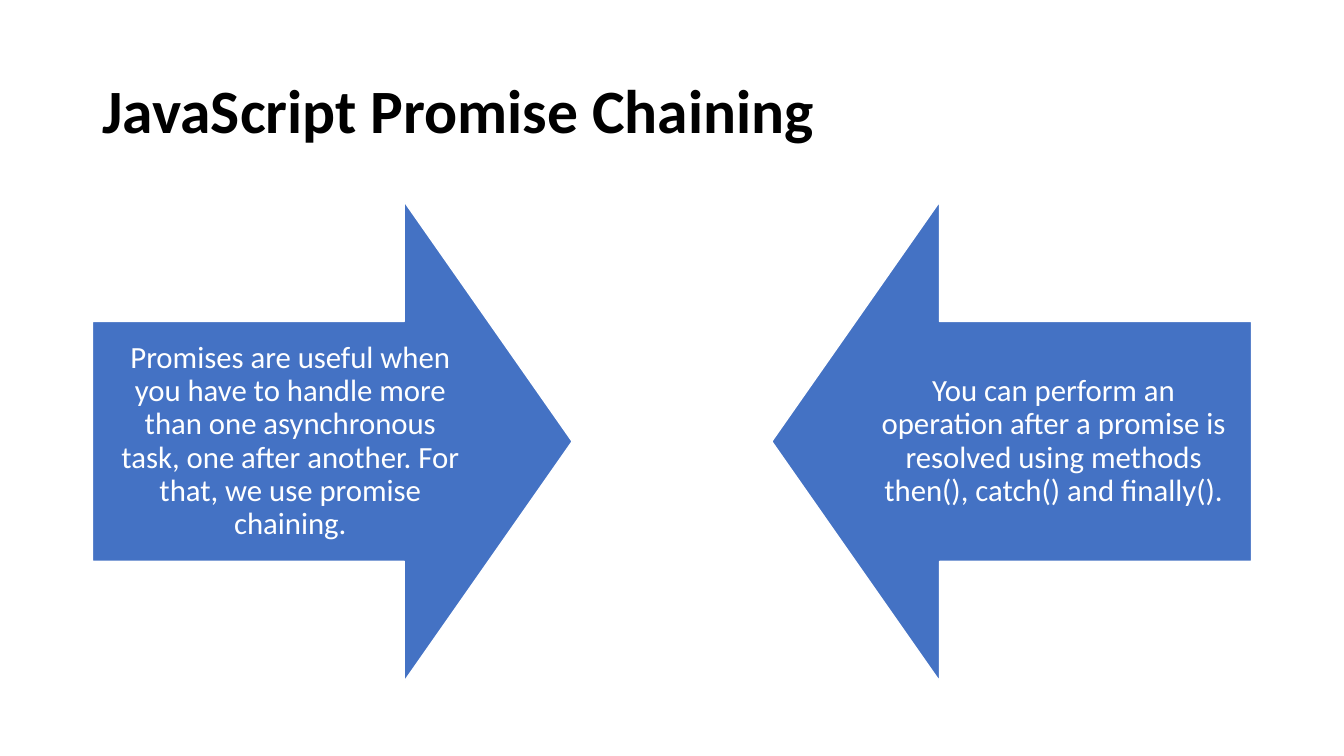
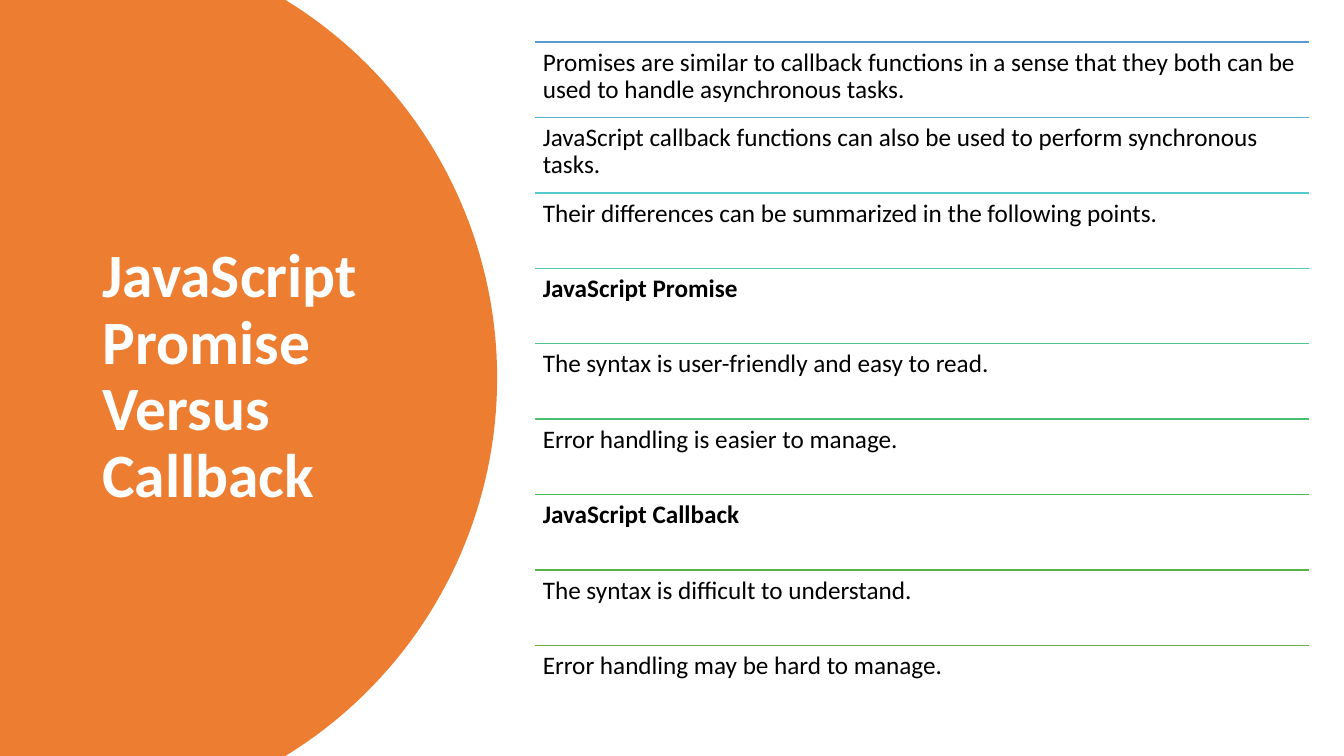
from dataclasses import dataclass
from math import asin, cos, sin

from lxml.etree import SubElement
from pptx import Presentation
from pptx.dml.color import RGBColor as Rgb
from pptx.enum.shapes import MSO_CONNECTOR as Link, MSO_SHAPE as Form
from pptx.enum.text import MSO_ANCHOR as Anchor, MSO_AUTO_SIZE as Fit, PP_ALIGN as Align
from pptx.oxml.ns import qn
from pptx.slide import Slide
from pptx.text.text import TextFrame
from pptx.util import Cm, Pt

FONT = "Calibri"
WIDE, HIGH = 33.87, 19.05
HUES = {"black": "000000", "white": "FFFFFF", "blue": "4472C4", "orange": "ED7D31"}
RULES = ["5B9BD5", "57B4D1", "54CCCD", "51C9AD", "4DC58D",
         "4AC06E", "48BB4F", "59B546", "70AD47"]


@dataclass
class Box:
    """A place on the slide, in centimetres."""
    left: float
    top: float
    width: float
    height: float

    def size(self) -> tuple[Cm, ...]:
        """Give the four lengths that python-pptx expects."""
        return Cm(self.left), Cm(self.top), Cm(self.width), Cm(self.height)


@dataclass
class Style:
    """How a block of text looks."""
    size: int
    hue: str
    bold: bool = False
    align: Align = Align.LEFT
    anchor: Anchor = Anchor.MIDDLE
    inset: tuple[float, float] = (0.25, 0.13)


@dataclass
class Arrow:
    """A block arrow and its text."""
    form: Form
    left: float
    text: str


@dataclass
class Row:
    """One ruled row of the list."""
    text: str
    bold: bool = False


ARROWS = [
    Arrow(Form.RIGHT_ARROW, 2.33,
          "Promises are useful when you have to handle more than one asynchronous "
          "task,\u00a0one after another. For that, we use promise chaining."),
    Arrow(Form.LEFT_ARROW, 19.45,
          "You can perform an operation after a promise is resolved using methods "
          "then(), catch() and finally()."),
]

ROWS = [
    Row("Promises are similar to\u00a0callback functions\u00a0in\u00a0a sense that "
        "they both can be used to handle asynchronous tasks."),
    Row("JavaScript callback functions can also be used to perform synchronous tasks."),
    Row("Their differences can be summarized in the following points."),
    Row("JavaScript Promise", True),
    Row("The syntax is user-friendly and easy to read."),
    Row("Error handling is easier to manage."),
    Row("JavaScript Callback", True),
    Row("The syntax is difficult to understand."),
    Row("Error handling may be hard to manage."),
]


def tint(name: str) -> Rgb:
    """Look up a named colour."""
    return Rgb.from_string(HUES[name])


def write(frame: TextFrame, text: str, style: Style) -> None:
    """Fill a text frame with one styled paragraph."""
    frame.text = text
    frame.word_wrap = True
    frame.auto_size = Fit.NONE
    frame.vertical_anchor = style.anchor
    side, edge = style.inset
    frame.margin_left = frame.margin_right = Cm(side)
    frame.margin_top = frame.margin_bottom = Cm(edge)
    para = frame.paragraphs[0]
    para.alignment = style.align
    para.line_spacing = 0.9
    font = para.font
    font.name, font.size, font.bold = FONT, Pt(style.size), style.bold
    font.color.rgb = tint(style.hue)


def add_title(slide: Slide, text: str, box: Box, hue: str) -> None:
    """Place and style the title."""
    title = slide.shapes.title
    title.left, title.top, title.width, title.height = box.size()
    write(title.text_frame, text, Style(44, hue, bold=True))


def add_arrow(slide: Slide, arrow: Arrow) -> None:
    """Draw a block arrow with its text inside."""
    shape = slide.shapes.add_shape(arrow.form, *Box(arrow.left, 5.08, 12.09, 12.09).size())
    shape.adjustments[0], shape.adjustments[1] = 0.5, 0.35
    shape.shadow.inherit = False
    shape.fill.solid()
    shape.fill.fore_color.rgb = tint("blue")
    shape.line.color.rgb = tint("white")
    shape.line.width = Pt(1)
    write(shape.text_frame, arrow.text,
          Style(22, "white", align=Align.CENTER, inset=(0.43, 0.43)))


def add_disc(slide: Slide, edge: float, radius: float, steps: int = 80) -> None:
    """Draw a disc cut off by the left, top and bottom of the slide."""
    mid = HIGH / 2
    half = asin(mid / radius)
    turns = [half * (2 * i / steps - 1) for i in range(steps + 1)]
    arc = [(Cm(edge - radius + radius * cos(t)), Cm(mid + radius * sin(t))) for t in turns]
    path = slide.shapes.build_freeform(0, 0)
    path.add_line_segments([*arc, (0, Cm(HIGH))], close=True)
    disc = path.convert_to_shape()
    disc.shadow.inherit = False
    disc.fill.solid()
    disc.fill.fore_color.rgb = tint("orange")
    disc.line.fill.background()
    tree = slide.shapes.title.element.getparent()
    tree.insert(tree.index(slide.shapes.title.element), disc.element)


def add_row(slide: Slide, row: Row, box: Box, rule: str) -> None:
    """Draw a rule with its text below."""
    left, top, width, _ = box.size()
    line = slide.shapes.add_connector(Link.STRAIGHT, left, top, left + width, top)
    line.line.color.rgb = Rgb.from_string(rule)
    line.line.width = Pt(1)
    SubElement(line.element.spPr, qn("a:effectLst"))
    note = slide.shapes.add_textbox(*box.size())
    write(note.text_frame, row.text,
          Style(18, "black", row.bold, anchor=Anchor.TOP, inset=(0.19, 0.19)))


def chain(slide: Slide) -> None:
    """Build the slide on chaining."""
    add_title(slide, "JavaScript Promise Chaining", Box(2.33, 1.01, 29.21, 3.68), "black")
    for arrow in ARROWS:
        add_arrow(slide, arrow)


def versus(slide: Slide) -> None:
    """Build the slide that compares promise and callback."""
    add_disc(slide, edge=12.53, radius=11.17)
    add_title(slide, "JavaScript Promise Versus Callback",
              Box(2.33, 1.78, 8.2, 15.47), "white")
    pitch = 1.9
    for i, (row, rule) in enumerate(zip(ROWS, RULES)):
        add_row(slide, row, Box(13.49, 1.06 + i * pitch, 19.5, pitch), rule)


def main() -> None:
    """Build and save the deck."""
    deck = Presentation()
    deck.slide_width, deck.slide_height = Cm(WIDE), Cm(HIGH)
    plain = deck.slide_layouts.get_by_name("Title Only")
    for build in (chain, versus):
        build(deck.slides.add_slide(plain))
    deck.save("out.pptx")


main()
